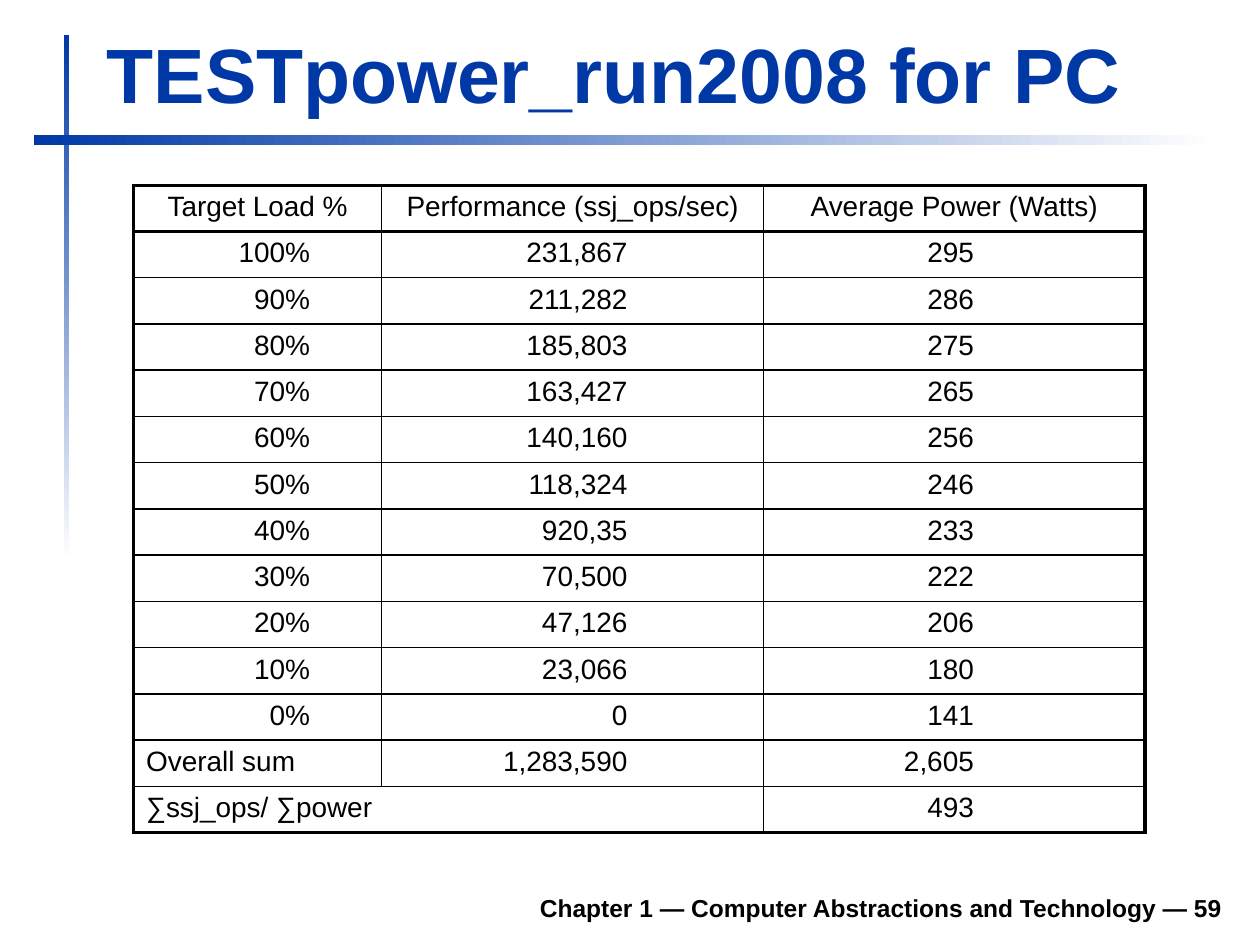
"""Build a slide with a table of server load, performance and power."""
from lxml import etree
from pptx import Presentation
from pptx.dml.color import RGBColor
from pptx.enum.shapes import MSO_SHAPE
from pptx.enum.text import MSO_ANCHOR, PP_ALIGN
from pptx.oxml.ns import qn
from pptx.util import Inches, Pt

RECT = MSO_SHAPE.RECTANGLE
BOTTOM = MSO_ANCHOR.BOTTOM
LEFT, MID, RIGHT = PP_ALIGN.LEFT, PP_ALIGN.CENTER, PP_ALIGN.RIGHT
BLUE, BLACK, WHITE = "0039A6", "000000", "FFFFFF"


def tint(code):
    return RGBColor.from_string(code)


def style(para, size, code, bold, align):
    para.alignment = align
    font = para.font
    font.name, font.size, font.bold = "Arial", Pt(size), bold
    font.color.rgb = tint(code)


deck = Presentation()
deck.slide_width, deck.slide_height = Inches(10), Inches(7.5)
slide = deck.slides.add_slide(deck.slide_layouts[6])
shapes = slide.shapes

for box, angle in (((0.51, 0.28, 0.04, 4.17), 270), ((0.27, 1.07, 9.37, 0.08), 0)):
    bar = shapes.add_shape(RECT, *map(Inches, box))
    bar.shadow.inherit = False
    bar.line.fill.background()
    bar.fill.gradient()
    bar.fill.gradient_angle = angle
    for stop, code in zip(bar.fill.gradient_stops, (BLUE, WHITE)):
        stop.color.rgb = tint(code)

labels = (
    ("Chapter 1 — Computer Abstractions and Technology — 59",
     (1.85, 6.98, 7.95, 0.39), 14, BLACK, RIGHT),
    ("TESTpower_run2008 for PC", (0.75, 0.16, 9.03, 0.83), 44, BLUE, LEFT),
)
for text, box, size, code, align in labels:
    frame = shapes.add_textbox(*map(Inches, box)).text_frame
    frame.word_wrap = True
    frame.vertical_anchor = BOTTOM
    frame.text = text
    style(frame.paragraphs[0], size, code, True, align)

rows = [
    ("Target Load %", "Performance (ssj_ops/sec)", "Average Power (Watts)"),
    ("100%", "231,867", "295"),
    ("90%", "211,282", "286"),
    ("80%", "185,803", "275"),
    ("70%", "163,427", "265"),
    ("60%", "140,160", "256"),
    ("50%", "118,324", "246"),
    ("40%", "920,35", "233"),
    ("30%", "70,500", "222"),
    ("20%", "47,126", "206"),
    ("10%", "23,066", "180"),
    ("0%", "0", "141"),
    ("Overall sum", "1,283,590", "2,605"),
    ("∑ssj_ops/ ∑power", "", "493"),
]
widths = (1.5, 0.47, 2.05, 0.98, 1.77, 1.26)
count, last = len(rows), len(rows) - 1
area = map(Inches, (1.06, 1.47, sum(widths), 5.13))
table = shapes.add_table(count, len(widths), *area).table
table.first_row = table.horz_banding = False
for col, width in zip(table.columns, widths):
    col.width = Inches(width)

for c in (0, 2, 4):
    table.cell(0, c).merge(table.cell(0, c + 1))
table.cell(last - 1, 0).merge(table.cell(last - 1, 1))
table.cell(last, 0).merge(table.cell(last, 3))

across = {0: 2.25, 1: 1.5, last - 1: 1.5, count: 2.25}
down = {0: 2.25, 2: 1, 4: 1, 6: 2.25}
for r, row in enumerate(rows):
    upright = {**down, 2: 0} if r == last else down
    for c in range(len(widths)):
        cell = table.cell(r, c)
        text = "" if c % 2 else row[c // 2]
        if text:
            cell.text = text
        else:
            cell.margin_top = cell.margin_bottom = 0
        align = MID if r == 0 else LEFT if c == 0 and r >= last - 1 else RIGHT
        style(cell.text_frame.paragraphs[0], 16, BLACK, False, align)
        span = cell.span_width if cell.is_merge_origin else 1
        edges = {
            "a:lnL": upright.get(c, 0),
            "a:lnR": upright.get(c + span, 0),
            "a:lnT": across.get(r, 1),
            "a:lnB": across.get(r + 1, 1),
        }
        props = cell._tc.get_or_add_tcPr()
        for tag, weight in edges.items():
            line = etree.SubElement(props, qn(tag), w=str(Pt(weight)))
            if weight:
                fill = etree.SubElement(line, qn("a:solidFill"))
                etree.SubElement(fill, qn("a:srgbClr"), val=BLACK)
            else:
                etree.SubElement(line, qn("a:noFill"))
        cell.fill.background()

deck.save("out.pptx")
